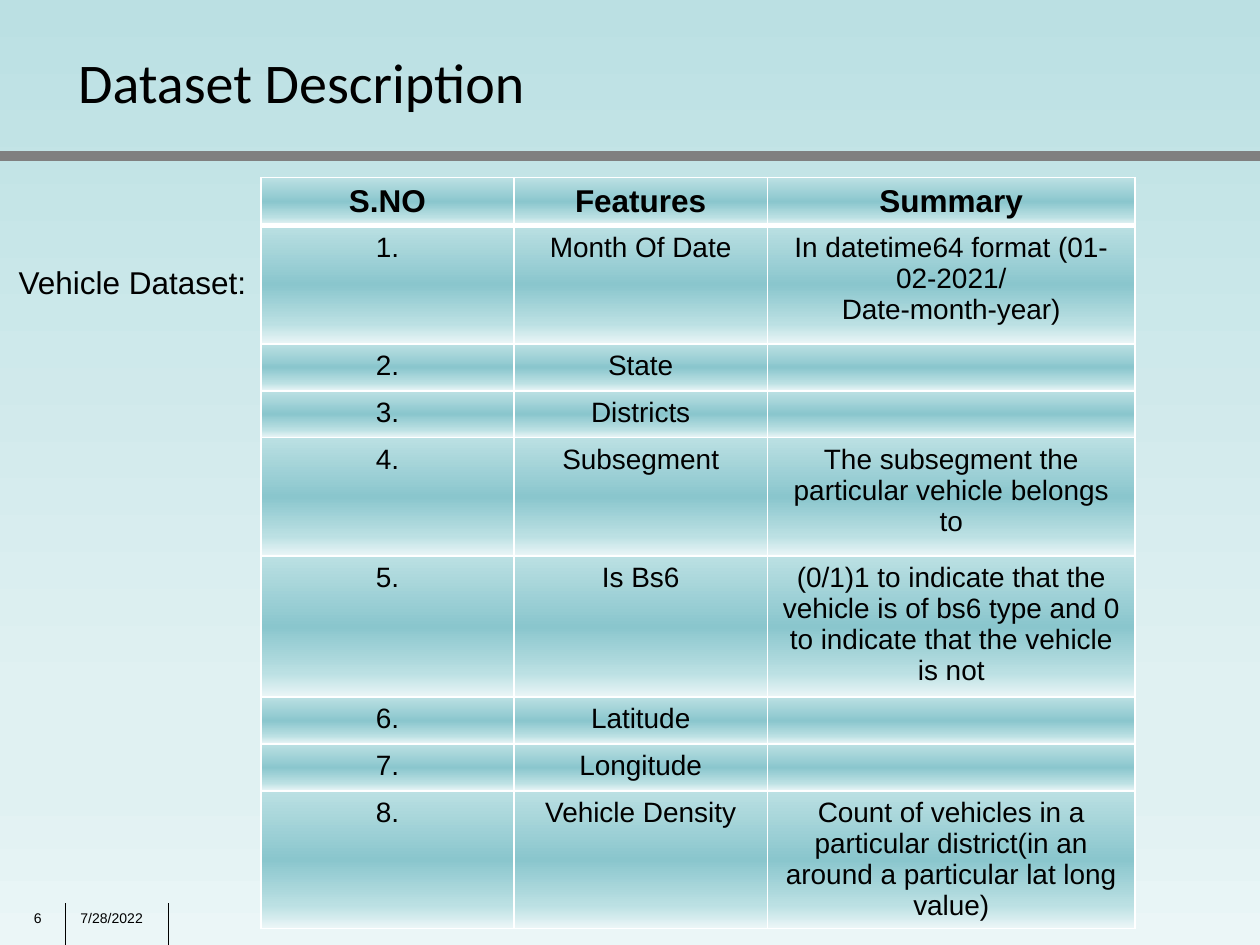
"""Build the dataset description slide with its feature table."""
from lxml.etree import SubElement
from pptx import Presentation
from pptx.dml.color import RGBColor
from pptx.enum.shapes import MSO_CONNECTOR
from pptx.enum.text import MSO_ANCHOR, MSO_AUTO_SIZE, PP_ALIGN
from pptx.oxml.ns import qn
from pptx.util import Inches, Pt

COLORS = {"text": "000000", "rule": "808080", "border": "FFFFFF",
          "aqua": "BBE0E3", "teal": "8AC6CD", "mist": "E0F1F2", "pale": "EBF6F7"}
BACKGROUND = [(0, "aqua"), (74, "mist"), (83, "mist"), (100, "pale")]
CELL_FILL = [(0, "aqua"), (50, "teal"), (83, "aqua"), (100, "pale")]

TITLE = "Dataset Description"
ROWS = [
    ("S.NO", "Features", "Summary"),
    ("1.", "Month Of Date", "In datetime64 format (01-02-2021/\nDate-month-year)"),
    ("2.", "State", ""),
    ("3.", "Districts", ""),
    ("4.", "Subsegment", "The subsegment the particular vehicle belongs to"),
    ("5.", "Is Bs6", "(0/1)1 to indicate that the vehicle is of bs6 type and 0 "
                     "to indicate that the vehicle is not"),
    ("6.", "Latitude", ""),
    ("7.", "Longitude", ""),
    ("8.", "Vehicle Density", "Count of vehicles in a particular district(in an "
                              "around a particular lat long value)"),
]
COLUMN_WIDTHS = [2.01, 2.01, 2.92]
ROW_HEIGHTS = [0.38, 0.94, 0.35, 0.35, 0.94, 1.12, 0.35, 0.35, 1.09]
LABELS = [
    ("6", 0.17, 7.17, 0.33, 0.23, 8),
    ("7/28/2022", 0.54, 7.17, 0.83, 0.23, 8),
    ("Vehicle Dataset:", 0.05, 2.04, 2.03, 0.4, 18),
]
LINES = [
    (0, 1.24, 10, 1.24, "rule", 6),
    (0.52, 7.17, 0.52, 7.5, "text", 0.75),
    (1.34, 7.17, 1.34, 7.5, "text", 0.75),
]


def color(name):
    return RGBColor.from_string(COLORS[name])


def format_text(text_frame, size, font="Arial", bold=False, align=PP_ALIGN.LEFT):
    for paragraph in text_frame.paragraphs:
        paragraph.alignment = align
        for run in paragraph.runs:
            run.font.size = Pt(size)
            run.font.name = font
            run.font.bold = bold
            run.font.color.rgb = color("text")


def set_gradient(fill, parent, stops):
    fill.gradient()
    fill.gradient_angle = 270
    stop_list = parent.find(".//" + qn("a:gsLst"))
    for stop in list(stop_list):
        stop_list.remove(stop)
    for position, name in stops:
        stop = SubElement(stop_list, qn("a:gs"), pos=str(position * 1000))
        SubElement(stop, qn("a:srgbClr"), val=COLORS[name])


def set_borders(cell, widths):
    properties = cell._tc.get_or_add_tcPr()
    for index, (side, width) in enumerate(widths.items()):
        line = SubElement(properties, qn("a:ln" + side), w=str(Pt(width)))
        fill = SubElement(line, qn("a:solidFill"))
        SubElement(fill, qn("a:srgbClr"), val=COLORS["border"])
        properties.insert(index, line)


def add_line(slide, left, top, right, bottom, name, width):
    line = slide.shapes.add_connector(
        MSO_CONNECTOR.STRAIGHT, Inches(left), Inches(top), Inches(right), Inches(bottom))
    line.line.color.rgb = color(name)
    line.line.width = Pt(width)
    SubElement(line.element.spPr, qn("a:effectLst"))


def add_label(slide, text, left, top, width, height, size):
    box = slide.shapes.add_textbox(Inches(left), Inches(top), Inches(width), Inches(height))
    box.text_frame.text = text
    box.text_frame.word_wrap = size < 18
    box.text_frame.auto_size = MSO_AUTO_SIZE.SHAPE_TO_FIT_TEXT
    format_text(box.text_frame, size)


def add_feature_table(slide):
    table = slide.shapes.add_table(
        len(ROWS), len(COLUMN_WIDTHS), Inches(2.07), Inches(1.41),
        Inches(sum(COLUMN_WIDTHS)), Inches(sum(ROW_HEIGHTS))).table
    for column, width in zip(table.columns, COLUMN_WIDTHS):
        column.width = Inches(width)
    for row_index, (row, texts) in enumerate(zip(table.rows, ROWS)):
        row.height = Inches(ROW_HEIGHTS[row_index])
        header = row_index == 0
        for cell, text in zip(row.cells, texts):
            cell.text_frame.text = text
            format_text(cell.text_frame, 18 if header else 16, bold=header,
                        align=PP_ALIGN.CENTER)
            if not text:
                SubElement(cell.text_frame.paragraphs[0]._p, qn("a:endParaRPr"), sz="1600")
            set_gradient(cell.fill, cell._tc, CELL_FILL)
            set_borders(cell, {"L": 1, "R": 1, "T": 3 if row_index == 1 else 1,
                               "B": 3 if header else 1})


def main():
    presentation = Presentation()
    presentation.slide_width, presentation.slide_height = Inches(10), Inches(7.5)
    slide = presentation.slides.add_slide(presentation.slide_layouts[5])
    set_gradient(slide.background.fill, slide.element, BACKGROUND)
    for line in LINES:
        add_line(slide, *line)
    title = slide.shapes.title
    title.left, title.top = Inches(0.52), Inches(0.18)
    title.width, title.height = Inches(6.42), Inches(0.92)
    title.text_frame.text = TITLE
    title.text_frame.vertical_anchor = MSO_ANCHOR.MIDDLE
    format_text(title.text_frame, 32, "Calibri")
    add_feature_table(slide)
    for label in LABELS:
        add_label(slide, *label)
    presentation.save("out.pptx")


if __name__ == "__main__":
    main()
